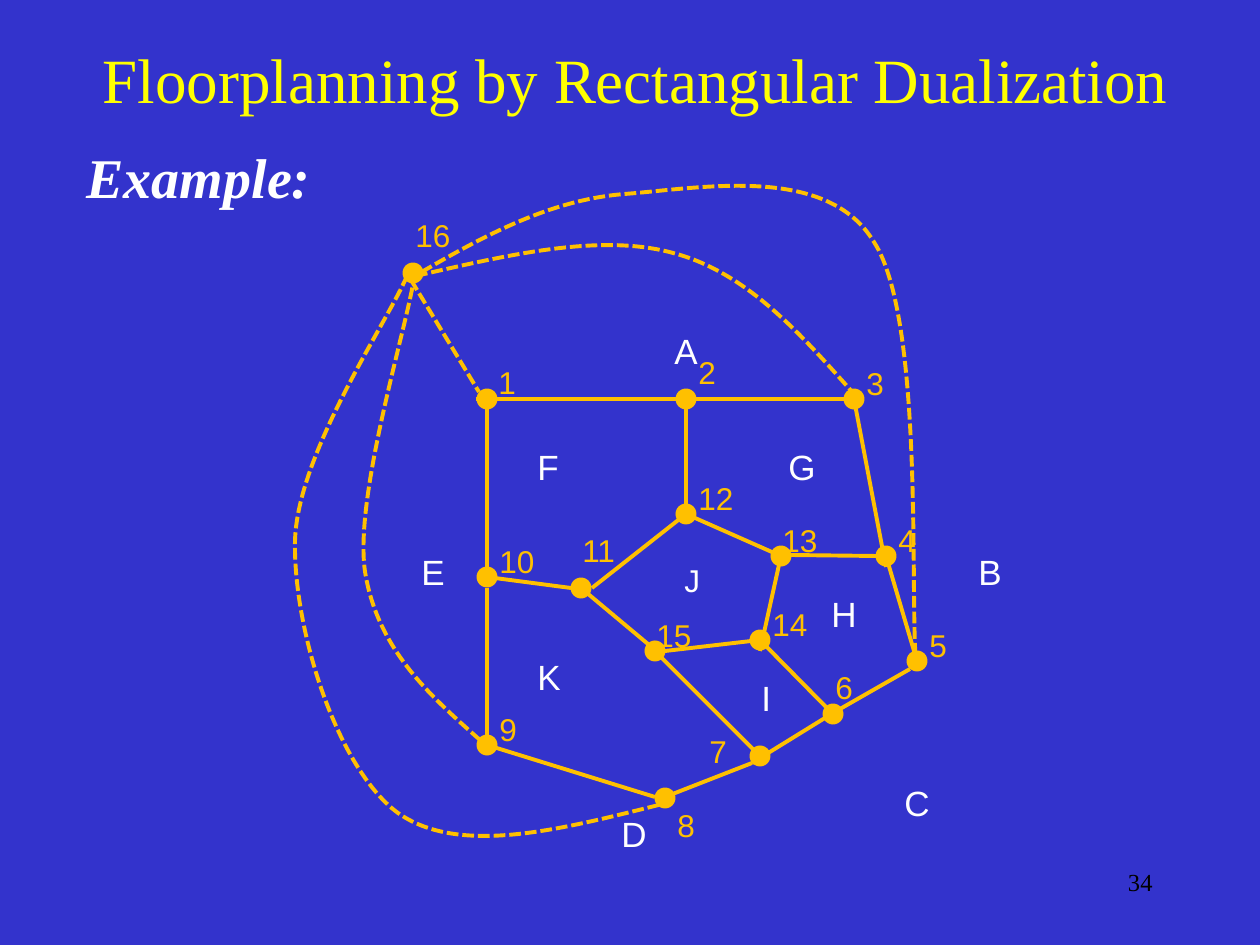
from pptx import Presentation
from pptx.dml.color import RGBColor
from pptx.enum.dml import MSO_LINE
from pptx.enum.shapes import MSO_CONNECTOR, MSO_SHAPE
from pptx.enum.text import MSO_ANCHOR, MSO_AUTO_SIZE, PP_ALIGN
from pptx.oxml.ns import qn
from pptx.util import Pt
from lxml.etree import SubElement

PX = 914400 / 126
HEX = {"back": "3333CC", "title": "FFFF00", "text": "FFFFFF",
       "graph": "FFC000", "page": "000000"}
RGB = {name: RGBColor.from_string(code) for name, code in HEX.items()}
SERIF, SANS = "Times New Roman", "Arial"
DOT = 21


def emu(*vals):
    return [round(v * PX) for v in vals]


def write(box, text, area, size, tint, face=SANS):
    """Place a text shape on its px area and give it one styled line."""
    box.left, box.top, box.width, box.height = emu(*area)
    frame = box.text_frame
    frame.text = text
    frame.word_wrap = True
    frame.auto_size = MSO_AUTO_SIZE.NONE
    para = frame.paragraphs[0]
    font = para.runs[0].font
    font.name, font.size, font.color.rgb = face, Pt(size), RGB[tint]
    return para


prs = Presentation()
prs.slide_width, prs.slide_height = emu(1260, 945)
slide = prs.slides.add_slide(prs.slide_layouts[1])
slide.background.fill.solid()
slide.background.fill.fore_color.rgb = RGB["back"]
shapes = slide.shapes

# Title and heading
title = shapes.title
para = write(title, "Floorplanning by Rectangular Dualization",
             (21, 10, 1229, 136), 36, "title", SERIF)
para.alignment = PP_ALIGN.CENTER
title.text_frame.vertical_anchor = MSO_ANCHOR.MIDDLE

body = slide.placeholders[1]
para = write(body, "Example:", (74, 136, 284, 84), 32, "text", SERIF)
para.space_before = Pt(0)
font = para.runs[0].font
font.bold = font.italic = True
props = para._p.get_or_add_pPr()
props.set("marL", "0")
props.set("indent", "0")
SubElement(props, qn("a:buNone"))

# Region letters, by top left corner
regions = {"F": (525, 439), "A": (662, 323), "G": (776, 439), "E": (409, 544),
           "J": (672, 555), "B": (966, 544), "K": (525, 649), "I": (749, 670),
           "H": (819, 586), "D": (609, 806), "C": (892, 775)}
for name, (x, y) in regions.items():
    size = 18 if name == "J" else 20
    high = 50 if name == "J" else 55
    write(shapes.add_textbox(0, 0, 0, 0), name, (x, y, 53, high), size, "text")

# Numbered nodes, by centre; labels sit up and right unless shifted
nodes = {1: (487, 399), 2: (686, 399), 3: (854, 399), 4: (886, 556),
         5: (917, 661), 6: (833, 714), 7: (760, 756), 8: (665, 798),
         9: (487, 745), 10: (487, 577), 11: (581, 588), 12: (686, 514),
         13: (781, 556), 14: (760, 640), 15: (655, 651), 16: (413, 273)}
shifts = {1: (-1, -42), 2: (0, -52), 6: (-10, -52), 7: (-63, -30), 8: (0, 2),
          11: (-11, -63), 13: (-11, -41), 15: (-11, -41), 16: (-10, -63)}
for num, (x, y) in nodes.items():
    dot = shapes.add_shape(MSO_SHAPE.OVAL,
                           *emu(x - DOT / 2, y - DOT / 2, DOT, DOT))
    dot.shadow.inherit = False
    dot.fill.solid()
    dot.fill.fore_color.rgb = RGB["graph"]
    dot.line.fill.background()
    dx, dy = shifts.get(num, (0, -41))
    wide = 53 if num < 10 else 63
    write(shapes.add_textbox(0, 0, 0, 0), str(num),
          (x + dx, y + dy, wide, 50), 18, "graph")

# Straight edges, by both ends; the last one is dashed
edges = [(487, 399, 487, 570), (476, 399, 676, 399), (487, 577, 571, 588),
         (592, 588, 686, 514), (686, 399, 686, 514), (676, 399, 844, 399),
         (686, 514, 781, 556), (791, 555, 876, 556), (854, 399, 886, 567),
         (581, 588, 648, 644), (665, 651, 760, 640), (781, 556, 760, 651),
         (760, 640, 826, 707), (886, 556, 917, 661), (833, 713, 910, 669),
         (655, 651, 760, 756), (752, 763, 833, 713), (487, 745, 655, 797),
         (487, 588, 487, 745), (665, 797, 752, 763), (411, 280, 479, 392)]
for ends in edges:
    edge = shapes.add_connector(MSO_CONNECTOR.STRAIGHT, *emu(*ends))
    edge.line.color.rgb = RGB["graph"]
    edge.line.width = Pt(2.25)
    SubElement(edge._element.spPr, qn("a:effectLst"))
edge.line.dash_style = MSO_LINE.SQUARE_DOT

# Dashed outer edges: a start, then three Bezier points per piece
curves = [
    [(416, 276), (508, 255), (600, 233), (673, 253),
     (746, 272), (800, 333), (854, 394)],
    [(408, 280), (478, 239), (547, 200), (625, 194), (702, 188),
     (827, 164), (874, 242), (924, 319), (910, 592), (916, 662)],
    [(480, 740), (428, 694), (377, 648), (365, 571),
     (354, 493), (410, 318), (415, 272)],
    [(659, 805), (559, 830), (459, 856), (398, 813), (338, 769),
     (294, 633), (295, 543), (296, 454), (389, 320), (407, 276)],
]
for start, *points in curves:
    pen = shapes.build_freeform(*emu(*start))
    pen.add_line_segments([emu(*point) for point in points], close=False)
    arc = pen.convert_to_shape()
    # Join each three straight steps into one Bezier piece
    track = next(arc._element.iter(qn("a:path")))
    steps = track.findall(qn("a:lnTo"))
    for i in range(0, len(steps), 3):
        piece = SubElement(track, qn("a:cubicBezTo"))
        for step in steps[i:i + 3]:
            piece.append(step[0])
            track.remove(step)
    arc.shadow.inherit = False
    arc.fill.background()
    arc.line.color.rgb = RGB["graph"]
    arc.line.width = Pt(2.25)
    arc.line.dash_style = MSO_LINE.SQUARE_DOT

# Page number
para = write(shapes.add_textbox(0, 0, 0, 0), "34",
             (903, 861, 262, 63), 14, "page", SERIF)
para.alignment = PP_ALIGN.RIGHT

prs.save("out.pptx")
